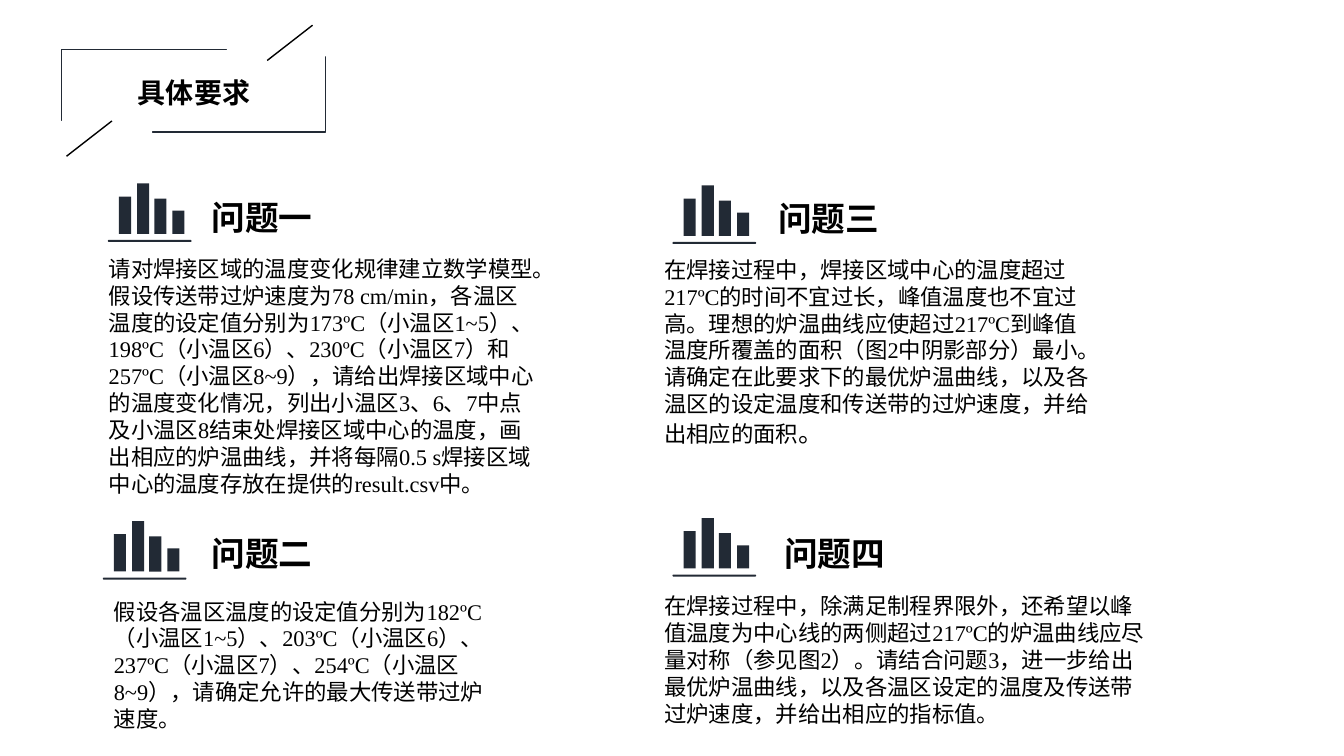
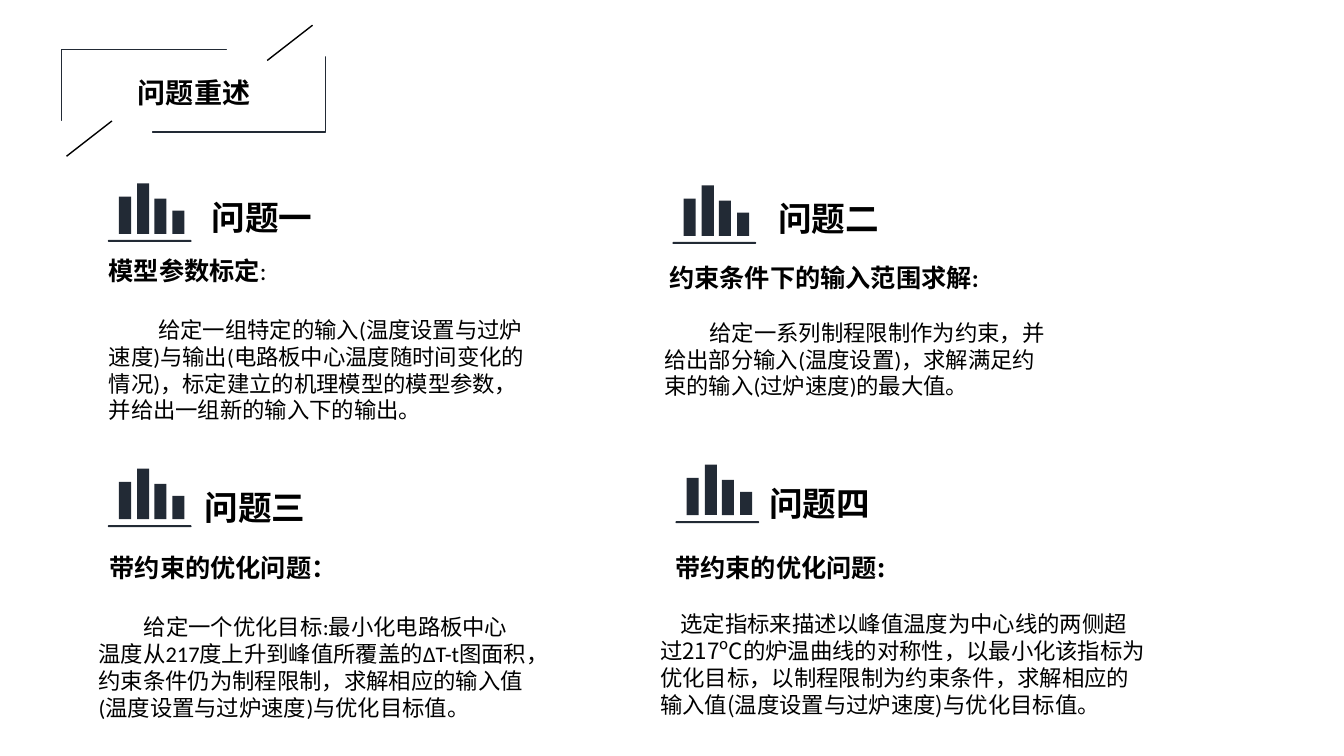
import dataclasses

import pptx
import pptx.dml.color
import pptx.enum.lang
import pptx.enum.shapes
import pptx.enum.text
import pptx.oxml
import pptx.oxml.ns
import pptx.util

SHAPE = pptx.enum.shapes.MSO_SHAPE
STRAIGHT = pptx.enum.shapes.MSO_CONNECTOR.STRAIGHT
CHINESE = pptx.enum.lang.MSO_LANGUAGE_ID.SIMPLIFIED_CHINESE
Pt = pptx.util.Pt


# Theme: colours, fonts and type sizes
@dataclasses.dataclass(frozen=True)
class Theme:
    navy: str = "222A35"
    black: str = "000000"
    white: str = "FFFFFF"
    sans: str = "Calibri"
    heading: str = "Arial"
    serif: str = "Times New Roman"
    cjk: str = "Noto Sans CJK SC"
    title_pt: int = 20
    heading_pt: int = 24
    lead_pt: int = 18
    body_pt: int = 16
    line_pt: int = 1


THEME = Theme()
PX_PER_INCH = 100
SLIDE_W, SLIDE_H = 1333, 750

# Icon geometry: (left, height) of each bar, standing on a common foot
ICON_BARS = ((11, 37), (29, 50), (46, 35), (64, 23))
BAR_W, BAR_FOOT = 12, 50
BASE_Y, BASE_W, BASE_H = 56, 83, 2


@dataclasses.dataclass(frozen=True)
class Para:
    runs: tuple
    indent: int = 0
    before: int = 0


@dataclasses.dataclass(frozen=True)
class Question:
    icon: tuple
    heading: str
    heading_box: tuple
    body_box: tuple
    paras: tuple
    heading_font: str = THEME.heading


def run(text, name=THEME.sans, size=THEME.body_pt, bold=False):
    return text, {"name": name, "size": Pt(size), "bold": bold}


def serif(text, size=THEME.body_pt):
    return run(text, THEME.serif, size)


def lead(text, name=THEME.sans, bold=True):
    return run(text, name, THEME.lead_pt, bold)


# Content
REQUIREMENTS = (
    Question((107, 182), "问题一", (200, 190, 271, 50), (98, 248, 444, 283), (
        Para((serif(
            "请对焊接区域的温度变化规律建立数学模型。假设传送带过炉速度为78 cm/min，"
            "各温区温度的设定值分别为173ºC（小温区1~5）、198ºC（小温区6）、"
            "230ºC（小温区7）和257ºC（小温区8~9），请给出焊接区域中心的温度变化情况，"
            "列出小温区3、6、7中点及小温区8结束处焊接区域中心的温度，画出相应的炉温曲线，"
            "并将每隔0.5 s焊接区域中心的温度存放在提供的result.csv中。"),)),)),
    Question((102, 517), "问题二", (200, 524, 134, 50), (103, 588, 398, 145), (
        Para((serif(
            "假设各温区温度的设定值分别为182ºC（小温区1~5）、203ºC（小温区6）、"
            "237ºC（小温区7）、254ºC（小温区8~9），请确定允许的最大传送带过炉速度。"),)),),
        THEME.sans),
    Question((667, 184), "问题三", (762, 191, 271, 50), (649, 249, 444, 232), (
        Para((serif(
            "在焊接过程中，焊接区域中心的温度超过217ºC的时间不宜过长，峰值温度也不宜过高。"
            "理想的炉温曲线应使超过217ºC到峰值温度所覆盖的面积（图2中阴影部分）最小。"
            "请确定在此要求下的最优炉温曲线，以及各温区的设定温度和传送带的过炉速度，"
            "并给出相应的面积"), serif("。", THEME.lead_pt))),)),
    Question((667, 514), "问题四", (768, 524, 271, 50), (649, 583, 505, 167), (
        Para((serif(
            "在焊接过程中，除满足制程界限外，还希望以峰值温度为中心线的两侧超过217ºC的"
            "炉温曲线应尽量对称（参见图2）。请结合问题3，进一步给出最优炉温曲线，"
            "以及各温区设定的温度及传送带过炉速度，并给出相应的指标值。"),)),)),
)

RESTATEMENT = (
    Question((107, 182), "问题一", (200, 190, 271, 50), (98, 248, 444, 182), (
        Para((lead("模型参数标定"), lead(":", bold=False))),
        Para((run(
            "给定一组特定的输入(温度设置与过炉速度)与输出(电路板中心温度随时间变化的情况)，"
            "标定建立的机理模型的模型参数，并给出一组新的输入下的输出。"),), 49, 22))),
    Question((667, 184), "问题二", (762, 191, 271, 50), (649, 255, 398, 168), (
        Para((lead("约束条件下的输入范围求解:"),), 5),
        Para((run(
            "给定一系列制程限制作为约束，并给出部分输入(温度设置)，"
            "求解满足约束的输入(过炉速度)的最大值。"),), 45, 19))),
    Question((107, 465), "问题三", (193, 478, 134, 60), (88, 543, 444, 178), (
        Para((lead("带约束的优化问题："),), 11),
        Para((run(
            "给定一个优化目标:最小化电路板中心温度从217度上升到峰值所覆盖的ΔT-t图面积，"
            "约束条件仍为制程限制，求解相应的输入值(温度设置与过炉速度)与优化目标值。"),),
            45, 22)),
        THEME.sans),
    Question((670, 461), "问题四", (753, 474, 271, 51), (645, 543, 505, 170), (
        Para((lead("带约束的优化问题:", THEME.cjk),), 15),
        Para((run(
            "选定指标来描述以峰值温度为中心线的两侧超过217ºC的炉温曲线的对称性，"
            "以最小化该指标为优化目标，以制程限制为约束条件，"
            "求解相应的输入值(温度设置与过炉速度)与优化目标值。", THEME.cjk),), 20, 20))),
)


# Helpers
def px(n):
    return pptx.util.Emu(n * pptx.util.Inches(1) // PX_PER_INCH)


def rgb(value):
    return pptx.dml.color.RGBColor.from_string(value)


def set_attrs(obj, values):
    for name, value in values.items():
        setattr(obj, name, value)


def add_block(shapes, box, fill=None, line=None, kind=SHAPE.RECTANGLE):
    sp = shapes.add_shape(kind, *map(px, box))
    sp.shadow.inherit = False
    if fill:
        sp.fill.solid()
        sp.fill.fore_color.rgb = rgb(fill)
    else:
        sp.fill.background()
    if line:
        sp.line.color.rgb = rgb(line)
        sp.line.width = Pt(THEME.line_pt)
    else:
        sp.line.fill.background()
    return sp


def add_line(shapes, ends):
    cxn = shapes.add_connector(STRAIGHT, *map(px, ends))
    cxn.line.color.rgb = rgb(THEME.black)
    cxn.line.width = Pt(THEME.line_pt)
    props = cxn._element.spPr
    props.append(props.makeelement(pptx.oxml.ns.qn("a:effectLst"), {}))


def fill_paragraph(p, para):
    p.space_before = Pt(para.before)
    if para.indent:
        p._p.get_or_add_pPr().set("indent", str(int(px(para.indent))))
    for text, font in para.runs:
        r = p.add_run()
        r.text = text
        set_attrs(r.font, {**font, "language_id": CHINESE})
        r.font.color.rgb = rgb(THEME.black)


def add_text(shapes, box, paras):
    tf = shapes.add_textbox(*map(px, box)).text_frame
    tf.word_wrap = True
    for i, para in enumerate(paras):
        fill_paragraph(tf.add_paragraph() if i else tf.paragraphs[0], para)


# Slide parts
def add_icon(slide, left, top):
    shapes = slide.shapes.add_group_shape().shapes
    base = add_block(shapes, (left, top + BASE_Y, BASE_W, BASE_H),
                     THEME.navy, kind=SHAPE.ROUNDED_RECTANGLE)
    base.adjustments[0] = 0.5
    for dx, height in ICON_BARS:
        add_block(shapes, (left + dx, top + BAR_FOOT - height, BAR_W, height), THEME.navy)


def add_title_frame(slide):
    shapes = slide.shapes.add_group_shape().shapes
    add_block(shapes, (61, 49, 262, 82), line=THEME.navy)
    # White blocks open two corners of the frame
    for left, top in ((225, 39), (24, 120)):
        add_block(shapes, (left, top, 127, 17), THEME.white)
    for ends in ((310, 25, 265, 60), (111, 120, 66, 155)):
        add_line(shapes, ends)


def set_title(slide, text):
    sp = slide.shapes.title
    set_attrs(sp, dict(zip(("left", "top", "width", "height"), map(px, (16, 70, 353, 44)))))
    tf = sp.text_frame
    set_attrs(tf, {"word_wrap": True,
                   "auto_size": pptx.enum.text.MSO_AUTO_SIZE.NONE,
                   "vertical_anchor": pptx.enum.text.MSO_ANCHOR.MIDDLE})
    p = tf.paragraphs[0]
    p.alignment = pptx.enum.text.PP_ALIGN.CENTER
    fill_paragraph(p, Para((run(text, size=THEME.title_pt, bold=True),)))


def add_question(slide, q):
    add_icon(slide, *q.icon)
    heading = run(q.heading, q.heading_font, THEME.heading_pt, True)
    add_text(slide.shapes, q.heading_box, (Para((heading,)),))
    add_text(slide.shapes, q.body_box, q.paras)


def add_question_slide(prs, title, questions):
    slide = prs.slides.add_slide(prs.slide_layouts.get_by_name("Title Only"))
    add_title_frame(slide)
    set_title(slide, title)
    for q in questions:
        add_question(slide, q)


def main():
    prs = pptx.Presentation()
    set_attrs(prs, {"slide_width": px(SLIDE_W), "slide_height": px(SLIDE_H)})
    add_question_slide(prs, "具体要求", REQUIREMENTS)
    add_question_slide(prs, "问题重述", RESTATEMENT)
    prs.save("out.pptx")


if __name__ == "__main__":
    main()
